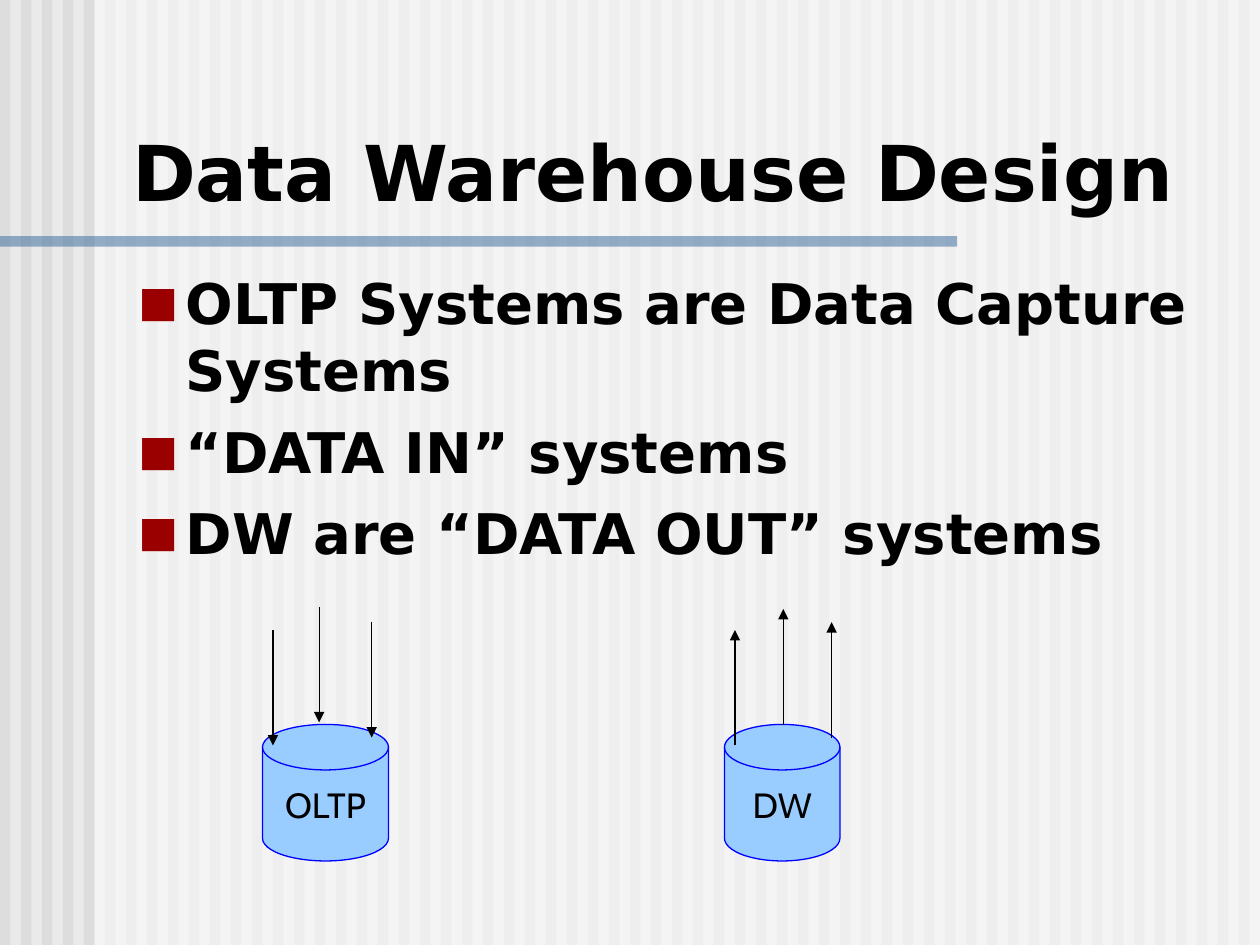
from lxml.etree import SubElement
from pptx import Presentation
from pptx.dml.color import RGBColor
from pptx.enum.shapes import MSO_CONNECTOR, MSO_SHAPE
from pptx.enum.text import MSO_ANCHOR, PP_ALIGN
from pptx.oxml.ns import qn
from pptx.util import Pt

BLACK = RGBColor(0x00, 0x00, 0x00)
WHITE = RGBColor(0xFF, 0xFF, 0xFF)
BACKGROUND = RGBColor(0xEA, 0xEA, 0xEA)
STRIPE = RGBColor(0xDD, 0xDD, 0xDD)
RULE = RGBColor(0x33, 0x66, 0x99)
BULLET = RGBColor(0x9A, 0x00, 0x00)
DISK_FILL = RGBColor(0x99, 0xCC, 0xFF)
DISK_LINE = RGBColor(0x00, 0x00, 0xFF)
HEADING_FONT, LABEL_FONT = "DejaVu Sans", "Cabin"

# Content: lengths in points
WIDTH, HEIGHT = 720, 540
STRIPE_WIDTH, STRIPE_STEP = 6, 12
TITLE = "Data Warehouse Design"
BULLETS = [
    "OLTP Systems are Data Capture Systems",
    "“DATA IN” systems",
    "DW are “DATA OUT” systems",
]
DISK_TOP, DISK_HEIGHT = 414, 78
# Each arrow is x, upper end, lower end
STORES = [
    dict(label="OLTP", left=150, width=72, flow="in",
         arrows=[(182.4, 347, 412.8), (156, 360, 426), (212.4, 355.5, 421.5)]),
    dict(label="DW", left=414, width=66, flow="out",
         arrows=[(447.6, 348, 414), (420, 360, 426), (475.2, 355.5, 421.5)]),
]

deck = Presentation()
deck.slide_width, deck.slide_height = Pt(WIDTH), Pt(HEIGHT)
page = deck.slides.add_slide(deck.slide_layouts[6])
page.background.fill.solid()
page.background.fill.fore_color.rgb = BACKGROUND


def add_filled(kind, left, top, width, height, color, opacity=100):
    shape = page.shapes.add_shape(kind, Pt(left), Pt(top), Pt(width), Pt(height))
    shape.shadow.inherit = False
    shape.fill.solid()
    shape.fill.fore_color.rgb = color
    shape.line.fill.background()
    if opacity < 100:
        color_node = shape.fill._xPr.find(qn("a:solidFill"))[0]
        SubElement(color_node, qn("a:alpha"), val=str(opacity * 1000))
    return shape


def add_text(left, top, width, height, lines, size, anchor):
    box = page.shapes.add_textbox(Pt(left), Pt(top), Pt(width), Pt(height))
    frame = box.text_frame
    frame.word_wrap = True
    frame.vertical_anchor = anchor
    frame.text = "\n".join(lines)
    for para in frame.paragraphs:
        set_font(para, HEADING_FONT, size, bold=True)
    return frame


def set_font(para, name, size, bold=False):
    para.font.name = name
    para.font.size = Pt(size)
    para.font.bold = bold
    para.font.color.rgb = BLACK


def add_bullet(para):
    para.space_before = Pt(8)
    props = para._p.get_or_add_pPr()
    props.set("marL", str(Pt(27)))
    props.set("indent", str(-Pt(27)))
    color = SubElement(props, qn("a:buClr"))
    SubElement(color, qn("a:srgbClr"), val=str(BULLET))
    SubElement(props, qn("a:buSzPct"), val="75000")
    SubElement(props, qn("a:buFont"), typeface=HEADING_FONT)
    SubElement(props, qn("a:buChar"), char="■")
    # Paragraph font defaults must follow the bullet settings
    props.append(props.find(qn("a:defRPr")))


def add_arrow(x, start, end):
    arrow = page.shapes.add_connector(
        MSO_CONNECTOR.STRAIGHT, Pt(x), Pt(start), Pt(x), Pt(end))
    arrow.line.color.rgb = BLACK
    arrow.line.width = Pt(0.75)
    SubElement(arrow.line._get_or_add_ln(), qn("a:tailEnd"), type="triangle")
    SubElement(arrow._element.spPr, qn("a:effectLst"))


# Striped backdrop, pale veil and title rule
for left in range(0, WIDTH, STRIPE_STEP):
    add_filled(MSO_SHAPE.RECTANGLE, left, 0, STRIPE_WIDTH, HEIGHT, STRIPE)
add_filled(MSO_SHAPE.RECTANGLE, 54, 0, WIDTH - 54, HEIGHT, WHITE, opacity=50)
add_filled(MSO_SHAPE.RECTANGLE, 0, 135, 547, 6, RULE, opacity=50)

# Title and bullets
add_text(68.4, 67.5, 643, 60, [TITLE], 44, MSO_ANCHOR.BOTTOM)
body = add_text(72, 150, 638.6, 330, BULLETS, 32, MSO_ANCHOR.TOP)
for para in body.paragraphs:
    add_bullet(para)

# Data stores
for store in STORES:
    disk = add_filled(MSO_SHAPE.FLOWCHART_MAGNETIC_DISK, store["left"], DISK_TOP,
                      store["width"], DISK_HEIGHT, DISK_FILL)
    disk.line.color.rgb = DISK_LINE
    disk.line.width = Pt(0.75)
    frame = disk.text_frame
    frame.word_wrap = False
    frame.vertical_anchor = MSO_ANCHOR.MIDDLE
    frame.text = store["label"]
    label = frame.paragraphs[0]
    label.alignment = PP_ALIGN.CENTER
    set_font(label, LABEL_FONT, 20)

# Flows into and out of the stores
for store in STORES:
    for x, upper, lower in store["arrows"]:
        if store["flow"] == "in":
            add_arrow(x, upper, lower)
        else:
            add_arrow(x, lower, upper)

deck.save("out.pptx")
